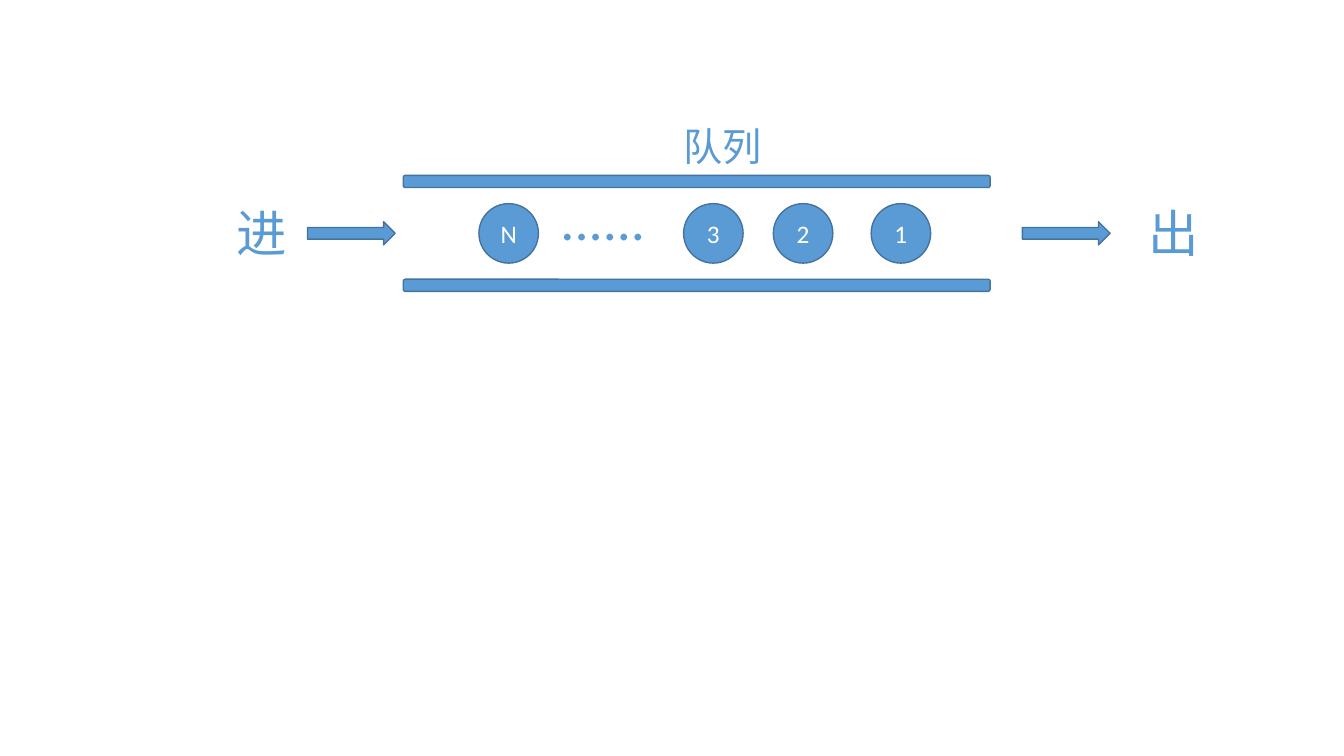
from dataclasses import dataclass

from pptx import Presentation
from pptx.dml.color import RGBColor
from pptx.enum.shapes import MSO_SHAPE
from pptx.enum.text import MSO_ANCHOR, MSO_AUTO_SIZE, PP_ALIGN
from pptx.slide import Slide
from pptx.text.text import TextFrame
from pptx.util import Inches, Pt

COLORS = {"blue": "5B9BD5", "outline": "43739E", "white": "FFFFFF"}
FONT = "Calibri"


@dataclass(frozen=True)
class Block:
    kind: MSO_SHAPE
    left: float
    top: float
    width: float
    height: float
    text: str = ""


@dataclass(frozen=True)
class Label:
    text: str
    left: float
    top: float
    width: float
    height: float
    size: int


RAILS = [Block(MSO_SHAPE.ROUNDED_RECTANGLE, 4, top, 5.82, 0.12) for top in (1.74, 2.77)]
ITEMS = [
    Block(MSO_SHAPE.OVAL, left, 2.02, 0.59, 0.59, text)
    for text, left in (("1", 8.64), ("2", 7.67), ("3", 6.78), ("N", 4.75))
]
ARROWS = [Block(MSO_SHAPE.RIGHT_ARROW, left, 2.2, 0.87, 0.23) for left in (3.05, 10.14)]
LABELS = [
    Label("进", 2.25, 1.96, 0.8, 0.71, 36),
    Label("出", 11.29, 1.96, 0.8, 0.71, 36),
    Label("......", 5.46, 1.78, 1.22, 0.77, 40),
    Label("队列", 6.68, 1.16, 1.47, 0.57, 28),
]


def rgb(name: str) -> RGBColor:
    """Return the named palette colour."""
    return RGBColor.from_string(COLORS[name])


def write(tf: TextFrame, text: str, size: int, color: str) -> None:
    """Put one formatted line of text in a text frame."""
    tf.text = text
    r = tf.paragraphs[0].runs[0]
    r.font.name = FONT
    r.font.size = Pt(size)
    r.font.color.rgb = rgb(color)


def add_block(s: Slide, block: Block) -> None:
    """Draw an outlined blue shape with optional centred text."""
    sp = s.shapes.add_shape(
        block.kind, Inches(block.left), Inches(block.top), Inches(block.width), Inches(block.height)
    )
    sp.shadow.inherit = False
    sp.fill.solid()
    sp.fill.fore_color.rgb = rgb("blue")
    sp.line.color.rgb = rgb("outline")
    sp.line.width = Pt(1)
    if block.text:
        tf = sp.text_frame
        write(tf, block.text, 18, "white")
        tf.vertical_anchor = MSO_ANCHOR.MIDDLE
        tf.paragraphs[0].alignment = PP_ALIGN.CENTER


def add_label(s: Slide, label: Label) -> None:
    """Draw a blue text label."""
    sp = s.shapes.add_textbox(
        Inches(label.left), Inches(label.top), Inches(label.width), Inches(label.height)
    )
    tf = sp.text_frame
    tf.word_wrap = True
    tf.auto_size = MSO_AUTO_SIZE.SHAPE_TO_FIT_TEXT
    write(tf, label.text, label.size, "blue")


def main() -> None:
    """Build the queue diagram and save it."""
    prs = Presentation()
    prs.slide_width, prs.slide_height = Inches(13.33), Inches(7.5)
    s = prs.slides.add_slide(prs.slide_layouts[6])
    for block in RAILS + ITEMS + ARROWS:
        add_block(s, block)
    for label in LABELS:
        add_label(s, label)
    prs.save("out.pptx")


if __name__ == "__main__":
    main()
